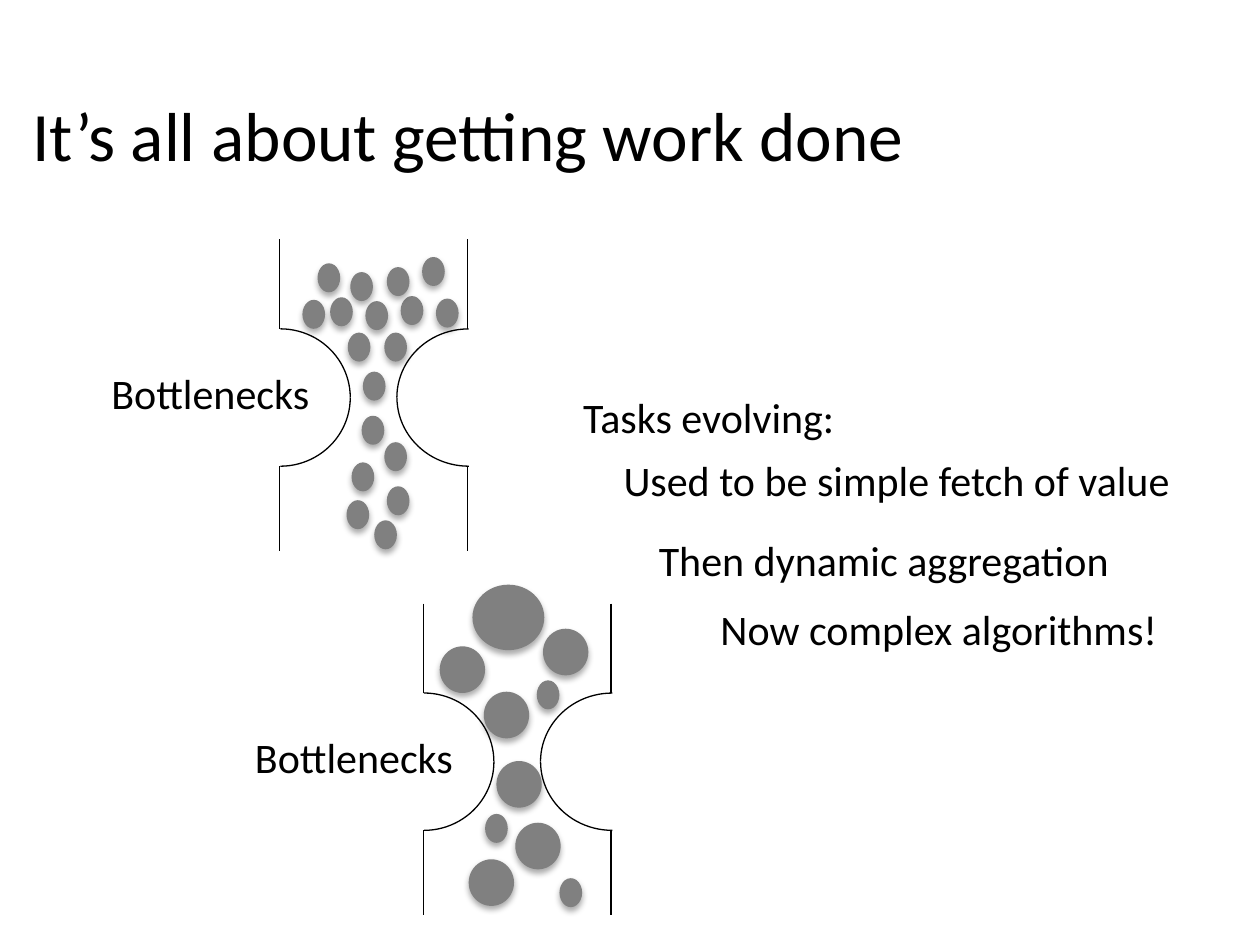
from lxml.etree import SubElement
from pptx import Presentation
from pptx.dml.color import RGBColor
from pptx.enum.shapes import MSO_CONNECTOR, MSO_SHAPE
from pptx.enum.text import MSO_ANCHOR, MSO_AUTO_SIZE, PP_ALIGN
from pptx.oxml.ns import qn
from pptx.util import Inches, Pt

FONT = "Calibri"
BLACK, WHITE, GREY = "000000", "FFFFFF", "808080"
NECK_WIDTH, NECK_HEIGHT = 1.49, 2.47
NECK_TOP, NECK_BOTTOM = 0.71, 1.8
SMALL, MEDIUM, LARGE = (0.18, 0.23), (0.36, 0.37), (0.57, 0.52)

SIMPLE_TASKS = {
    SMALL: [
        (0.54, 0.74), (0.83, 0.74), (0.66, 1.05), (0.65, 1.4), (0.83, 1.61), (0.57, 1.77),
        (0.85, 1.96), (0.53, 2.07), (0.75, 2.23), (0.96, 0.45), (0.68, 0.49), (1.24, 0.47),
        (0.4, 0.46), (0.56, 0.26), (0.18, 0.48), (0.85, 0.22), (0.3, 0.19), (1.13, 0.14),
    ],
}
MIXED_TASKS = {
    SMALL: [(0.9, 0.61), (1.08, 2.18), (0.49, 1.67)],
    MEDIUM: [(0.58, 1.25), (0.73, 1.74), (0.36, 2.03), (0.48, 0.7), (0.13, 0.34), (0.95, 0.2)],
    LARGE: [(0.39, -0.15)],
}
EVOLUTION = [
    ("Tasks evolving:", 0, 0, 2.29),
    ("Used to be simple fetch of value", 0.32, 0.5, 4.58),
    ("Then dynamic aggregation", 0.6, 1.13, 3.81),
    ("Now complex algorithms!", 1.09, 1.68, 3.7),
]


def color(value):
    """Turn a hex string into a colour."""
    return RGBColor.from_string(value)


def add_run(para, text, size):
    """Add one formatted run to a paragraph."""
    run = para.add_run()
    run.text = text
    run.font.name = FONT
    run.font.size = Pt(size)
    run.font.color.rgb = color(BLACK)


def add_shape(page, kind, left, top, width, height, fill, line=None):
    """Add a plain preset shape with an optional thin outline."""
    shape = page.shapes.add_shape(kind, Inches(left), Inches(top), Inches(width), Inches(height))
    shape.shadow.inherit = False
    shape.fill.solid()
    shape.fill.fore_color.rgb = color(fill)
    if line:
        shape.line.color.rgb = color(line)
        shape.line.width = Pt(0.75)
    else:
        shape.line.fill.background()
    return shape


def add_label(page, text, left, top, width, height, centred=False):
    """Add a line of text, wrapped only when centred."""
    box = page.shapes.add_textbox(Inches(left), Inches(top), Inches(width), Inches(height))
    frame = box.text_frame
    frame.word_wrap = centred
    frame.auto_size = MSO_AUTO_SIZE.SHAPE_TO_FIT_TEXT
    para = frame.paragraphs[0]
    if centred:
        para.alignment = PP_ALIGN.CENTER
    add_run(para, text, 24)


def add_wall(page, x, top, bottom):
    """Draw one straight wall of a bottleneck."""
    wall = page.shapes.add_connector(
        MSO_CONNECTOR.STRAIGHT, Inches(x), Inches(top), Inches(x), Inches(bottom))
    wall.line.color.rgb = color(BLACK)
    wall.line.width = Pt(0.75)
    SubElement(wall._element.spPr, qn("a:effectLst"))


def add_curve(page, left, top, width, height, rotation):
    """Draw a quarter arc whose turned outline fills the given box."""
    if rotation % 180:
        left, top = left + (width - height) / 2, top + (height - width) / 2
        width, height = height, width
    arc = add_shape(page, MSO_SHAPE.ARC, left, top, width, height, WHITE, BLACK)
    arc.rotation = rotation


def add_ball(page, left, top, width, height):
    """Add a grey task ball with a soft shadow below it."""
    ball = add_shape(page, MSO_SHAPE.OVAL, left, top, width, height, GREY)
    effects = ball._element.spPr.find(qn("a:effectLst"))
    shadow = SubElement(effects, qn("a:outerShdw"), blurRad=str(Pt(3.5)), dist=str(Pt(2.2)),
                        dir="5400000", rotWithShape="0")
    shade = SubElement(shadow, qn("a:srgbClr"), val=BLACK)
    SubElement(shade, qn("a:alpha"), val="32000")


def add_bottleneck(page, left, top, tasks):
    """Draw a bottleneck with its walls, label and task balls."""
    add_shape(page, MSO_SHAPE.RECTANGLE, left + 0.02, top, 1.44, NECK_HEIGHT, WHITE)
    curve_height = NECK_BOTTOM - NECK_TOP
    for offset, width, rotations in ((-0.55, 1.11, (0, 90)), (0.93, 1.14, (270, 180))):
        for rotation in rotations:
            add_curve(page, left + offset, top + NECK_TOP, width, curve_height, rotation)
    for x in (left, left + NECK_WIDTH):
        add_wall(page, x, top, top + NECK_TOP)
        add_wall(page, x, top + NECK_BOTTOM, top + NECK_HEIGHT)
    add_label(page, "Bottlenecks", left - 2.18, top + 0.97, 3.26, 0.52, centred=True)
    for size, places in tasks.items():
        for x, y in places:
            add_ball(page, left + x, top + y, *size)


def add_title(page, left, top, width, height):
    """Place and fill the title placeholder."""
    title = page.shapes.title
    title.left, title.top = Inches(left), Inches(top)
    title.width, title.height = Inches(width), Inches(height)
    title.text_frame.vertical_anchor = MSO_ANCHOR.MIDDLE
    para = title.text_frame.paragraphs[0]
    para.alignment = PP_ALIGN.CENTER
    add_run(para, "It’s all about getting work done", 39.6)


def add_evolution(page, left, top):
    """Add the stepped lines on how tasks evolve."""
    for text, x, y, width in EVOLUTION:
        add_label(page, text, left + x, top + y, width, 0.5)


def main():
    """Build and save the deck."""
    deck = Presentation()
    deck.slide_width, deck.slide_height = Inches(10), Inches(7.5)
    page = deck.slides.add_slide(deck.slide_layouts[5])
    add_title(page, 0.06, 0.44, 7.31, 1.25)
    add_bottleneck(page, 2.22, 1.9, SIMPLE_TASKS)
    add_evolution(page, 4.53, 3.06)
    add_bottleneck(page, 3.36, 4.79, MIXED_TASKS)
    deck.save("out.pptx")


if __name__ == "__main__":
    main()
